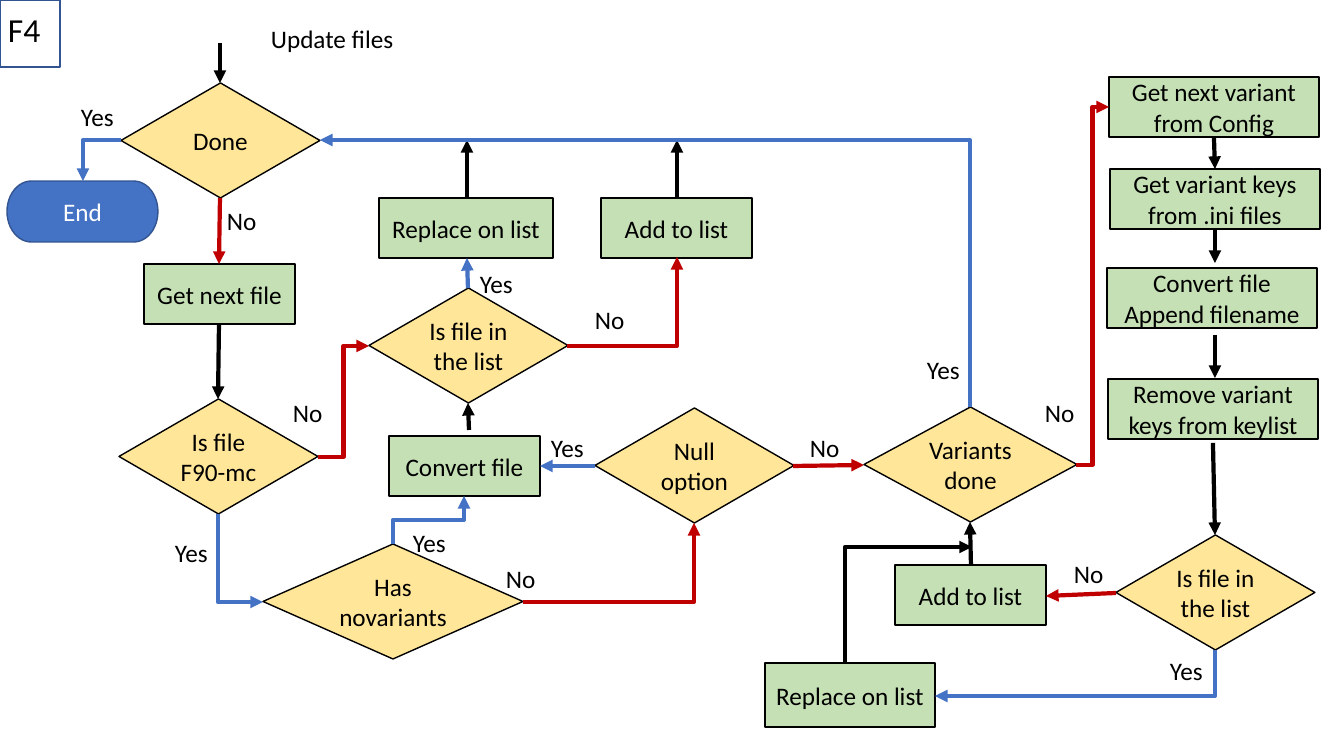
from dataclasses import dataclass
from typing import Any

from lxml.etree import SubElement as Sub
from pptx import Presentation
from pptx.dml.color import RGBColor as RGB
from pptx.enum.shapes import MSO_CONNECTOR as Conn, MSO_SHAPE as Form
from pptx.enum.text import MSO_ANCHOR as Anchor, MSO_AUTO_SIZE as Fit, PP_ALIGN as Align
from pptx.oxml.ns import qn
from pptx.util import Pt

SCALE = 914400 / 100.8
FONT = "Calibri"
INK = {"black": "000000", "white": "FFFFFF", "yes": "4472C4", "no": "C00000",
       "test": "FFE699", "step": "C5E0B4", "edge": "325491"}
TEST, STEP, END = (Form.FLOWCHART_DECISION, Form.FLOWCHART_PROCESS,
                   Form.FLOWCHART_TERMINATOR)


def emu(px):
    """Turn pixels into EMU."""
    return round(px * SCALE)


def tint(name):
    """Give the colour of a name."""
    return RGB.from_string(INK[name])


def write(frame, text, size=18, ink="black", align=Align.LEFT):
    """Fill a text frame, one paragraph for each line of the text."""
    for row, words in enumerate(text.split("\n")):
        para = frame.add_paragraph() if row else frame.paragraphs[0]
        para.alignment = align
        run = para.add_run()
        run.text = words
        run.font.size, run.font.name = Pt(size), FONT
        run.font.color.rgb = tint(ink)


@dataclass
class Area:
    """A part of the slide whose items are placed from its left top corner."""
    slide: Any
    left: int
    top: int

    def node(self, form, text, x, y, w, h, fill, edge="black", ink="black"):
        """Draw one shape of the chart."""
        shape = self.slide.shapes.add_shape(
            form, emu(self.left + x), emu(self.top + y), emu(w), emu(h))
        shape.shadow.inherit = False
        if fill:
            shape.fill.solid()
            shape.fill.fore_color.rgb = tint(fill)
        else:
            shape.fill.background()
        shape.line.color.rgb, shape.line.width = tint(edge), Pt(1)
        if text:
            shape.text_frame.word_wrap = True
            shape.text_frame.vertical_anchor = Anchor.MIDDLE
            write(shape.text_frame, text, ink=ink, align=Align.CENTER)

    def test(self, text, x, y, w=199):
        """Draw a decision."""
        self.node(TEST, text, x, y, w, 115, "test")

    def step(self, text, x, y, w=151, h=60):
        """Draw a process step."""
        self.node(STEP, text, x, y, w, h, "step")

    def tag(self, text, x, y, w=53, h=40, size=18):
        """Write a free label."""
        frame = self.slide.shapes.add_textbox(
            emu(self.left + x), emu(self.top + y), emu(w), emu(h)).text_frame
        frame.word_wrap, frame.auto_size = False, Fit.SHAPE_TO_FIT_TEXT
        write(frame, text, size)

    def link(self, ink, x1, y1, x2, y2, bends=0, down=False):
        """Draw an arrow with 0 to 2 bends, which sets off up or down if told."""
        if down:
            midx, midy = (x1 + x2) / 2, (y1 + y2) / 2
            dx, dy = (y2 - y1) / 2, (x1 - x2) / 2
            x1, y1, x2, y2 = midx - dx, midy - dy, midx + dx, midy + dy
        line = self.slide.shapes.add_connector(
            Conn.ELBOW if bends else Conn.STRAIGHT,
            emu(self.left + x1), emu(self.top + y1),
            emu(self.left + x2), emu(self.top + y2))
        line.line.color.rgb, line.line.width = tint(ink), Pt(3)
        props = line._element.spPr
        if down:
            props.find(qn("a:xfrm")).set("rot", "5400000")
        if bends == 1:
            props.find(qn("a:prstGeom")).set("prst", "bentConnector2")
        Sub(props.find(qn("a:ln")), qn("a:tailEnd"), type="triangle")
        Sub(props, qn("a:effectLst"))


def head(area):
    """Draw the chart number and title."""
    area.tag("F4", -2, 4, 53, 50, 24)
    area.node(Form.RECTANGLE, "", 0, 0, 60, 67, None, "edge")
    area.tag("Update files", 261, 18, 150)


def loop(area):
    """Draw the loop over the files."""
    area.test("Done", 114, 40)
    area.node(END, "End", 0, 138, 151, 61, "yes", "edge", "white")
    area.step("Get next file", 137, 221)
    area.test("Is file F90-mc", 112, 356)
    area.link("black", 213, 0, 213, 40)
    area.link("yes", 114, 97, 76, 138, 1)
    area.link("no", 213, 155, 212, 221)
    area.link("black", 212, 281, 211, 356)
    area.link("yes", 211, 471, 256, 559, 1, True)
    area.link("no", 311, 414, 362, 303, 2)
    for text, x, y in (("Yes", 64, 53), ("No", 210, 157),
                       ("No", 276, 349), ("Yes", 158, 489)):
        area.tag(text, x, y)


def listing(area):
    """Draw the check of the list."""
    area.test("Is file in the list", 0, 148)
    area.step("Replace on list", 10, 58, 174)
    area.step("Add to list", 232, 58)
    area.link("yes", 99, 148, 98, 118)
    area.link("no", 198, 206, 308, 117, 1)
    for x in (98, 308):
        area.link("black", x, 58, x, 0)
    area.tag("Yes", 101, 123)
    area.tag("No", 216, 159)


def option(area):
    """Draw the tests of the options."""
    area.test("Has novariants", 0, 144, 260)
    area.step("Convert file", 126, 36)
    area.test("Null option", 332, 8)
    area.link("black", 206, 30, 205, 3)
    area.link("yes", 130, 144, 201, 96, 2, True)
    area.link("no", 260, 202, 431, 123, 1)
    area.link("no", 530, 66, 601, 65)
    area.link("yes", 332, 66, 277, 66)
    for text, x, y in (("No", 537, 27), ("No", 233, 158),
                       ("Yes", 278, 27), ("Yes", 140, 122)):
        area.tag(text, x, y)


def column(area):
    """Draw the steps for one variant."""
    for text, x, y in (("Get next variant from Config", 2, 0),
                       ("Get variant keys from .ini files", 3, 92),
                       ("Convert file\nAppend filename", 0, 191),
                       ("Remove variant keys from keylist", 1, 302)):
        area.step(text, x, y, 210)
    area.test("Is file in the list", 9, 458)
    for x, y1, y2 in ((107, 60, 92), (108, 153, 186),
                      (108, 258, 301), (106, 366, 458)):
        area.link("black", x, y1, 108, y2)


def variant(area):
    """Draw the loop over the variants."""
    area.test("Variants done", 99, 0, 213)
    area.step("Add to list", 130, 158)
    area.step("Replace on list", 0, 256, 170, 64)
    area.link("black", 206, 158, 205, 115)
    area.link("black", 80, 256, 207, 140, 1, True)
    area.link("yes", 205, 0, -445, -267, 1, True)
    area.link("no", 311, 58, 344, -300, 2)
    area.link("no", 351, 186, 281, 189)
    area.link("yes", 450, 243, 170, 289, 1, True)
    for text, x, y in (("No", 299, 146), ("No", 270, -15),
                       ("Yes", 152, -58), ("Yes", 395, 243)):
        area.tag(text, x, y)


deck = Presentation()
deck.slide_width, deck.slide_height = emu(1344), emu(756)
page = deck.slides.add_slide(deck.slide_layouts[6])
for draw, left, top in ((loop, 7, 43), (listing, 369, 140), (option, 263, 400),
                        (column, 1107, 77), (variant, 765, 407), (head, 0, 0)):
    draw(Area(page, left, top))
deck.save("out.pptx")
